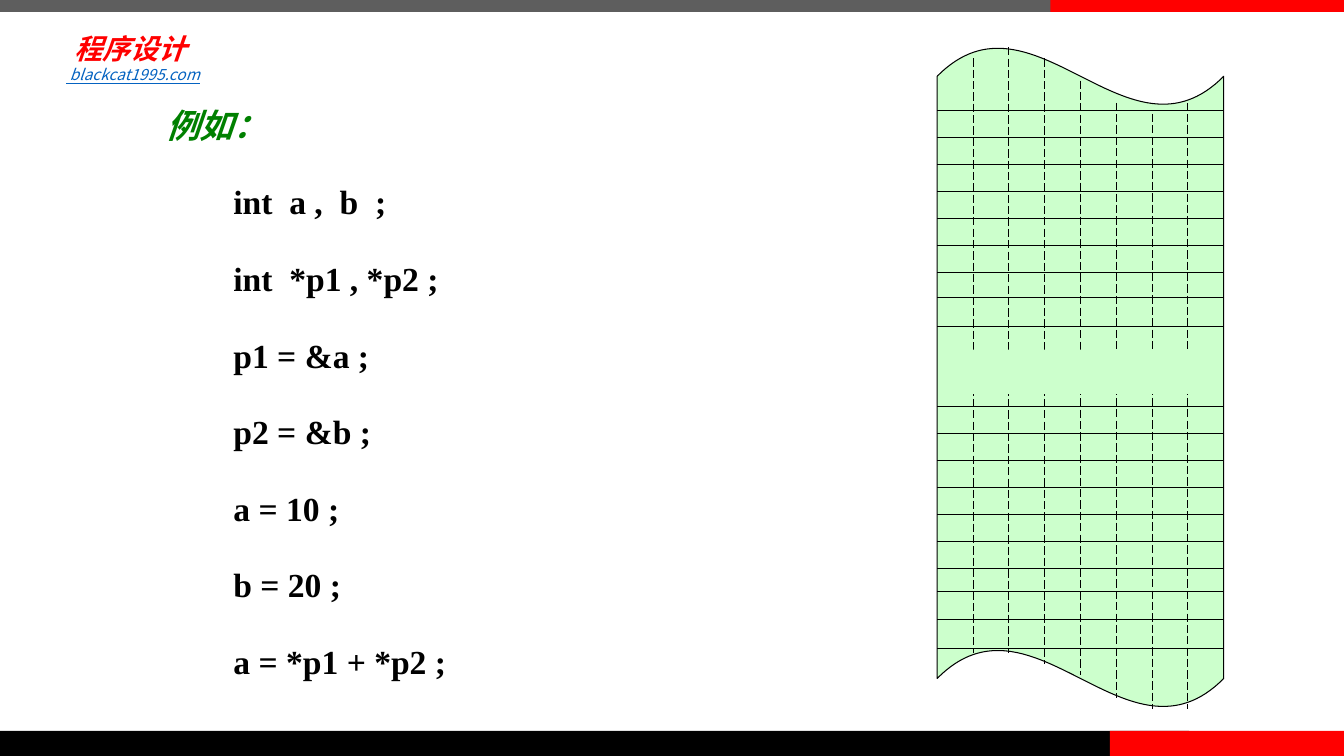
from lxml import etree
from pptx import Presentation
from pptx import util as u
from pptx.dml.color import RGBColor
from pptx.enum import dml, shapes, text
from pptx.oxml import ns

GREY = RGBColor(0x5E, 0x5E, 0x5E)
BLACK = RGBColor(0, 0, 0)
RED = RGBColor(0xFF, 0, 0)
GREEN = RGBColor(0, 0x80, 0)
BLUE = RGBColor(0x05, 0x63, 0xC1)
MINT = RGBColor(0xCC, 0xFF, 0xCC)

CODE = [
    "int  a ,  b  ;",
    "int  *p1 , *p2 ;",
    "p1 = &a ;",
    "p2 = &b ;",
    "a = 10 ;",
    "b = 20 ;",
    "a = *p1 + *p2 ;",
]


class Painter:
    """Draws styled elements on the current slide."""

    east_asian = "Noto Sans CJK SC"
    line_width = u.Pt(0.75)

    def __init__(self, page):
        self.page = page
        self.target = page.shapes

    def start_group(self):
        self.target = self.page.shapes.add_group_shape().shapes

    def end_group(self):
        self.target = self.page.shapes

    def outline(self, line):
        line.color.rgb = BLACK
        line.width = self.line_width

    def shape(self, kind, place, color, outlined=False):
        shape = self.target.add_shape(kind, *map(u.Cm, place))
        shape.shadow.inherit = False
        shape.fill.solid()
        shape.fill.fore_color.rgb = color
        if outlined:
            self.outline(shape.line)
        else:
            shape.line.fill.background()
        return shape

    def line(self, x1, y1, x2, y2, dash=None):
        line = self.target.add_connector(
            shapes.MSO_CONNECTOR.STRAIGHT, *map(u.Cm, (x1, y1, x2, y2)))
        etree.SubElement(line._element.spPr, ns.qn("a:effectLst"))
        self.outline(line.line)
        if dash:
            line.line.dash_style = dash

    def text(self, place, lines, frame_format, spacing=None):
        box = self.target.add_textbox(*map(u.Cm, place))
        frame = box.text_frame
        frame.auto_size = text.MSO_AUTO_SIZE.SHAPE_TO_FIT_TEXT
        for name, value in frame_format.items():
            setattr(frame, name, value)
        for number, (words, color, font_format) in enumerate(lines):
            para = frame.add_paragraph() if number else frame.paragraphs[0]
            para.line_spacing = spacing
            span = para.add_run()
            span.text = words
            for name, value in font_format.items():
                setattr(span.font, name, value)
            span.font.color.rgb = color
            etree.SubElement(span.font._element, ns.qn("a:ea"),
                             typeface=self.east_asian)


def draw_frame(painter):
    """Draw the coloured bars and the heading in the corner."""
    for place, color in [
        ((0, 0, 27.46, 0.3), GREY),
        ((0, 18.42, 29.97, 0.63), BLACK),
        ((27.97, 18.42, 5.9, 0.63), RED),
        ((26.47, 0, 7.4, 0.3), RED),
    ]:
        painter.shape(shapes.MSO_SHAPE.RECTANGLE, place, color)
    inset = u.Cm(0.15)
    painter.text(
        (1.73, 0.64, 3.25, 1.14),
        [("程序设计", RED, dict(size=u.Pt(20), name="Calibri", bold=True, italic=True))],
        dict(word_wrap=True, vertical_anchor=text.MSO_ANCHOR.MIDDLE,
             margin_left=inset, margin_right=inset,
             margin_top=inset, margin_bottom=inset))
    painter.text(
        (1.42, 1.52, 16.94, 0.74),
        [(" blackcat1995.com", BLUE,
          dict(size=u.Pt(11), name="Noto Sans CJK SC", italic=True, underline=True))],
        dict(word_wrap=True))


def draw_memory(painter):
    """Draw the strip of memory cells with its bit columns."""
    left, width, step = 23.62, 7.22, 0.68
    painter.start_group()
    strip = painter.shape(shapes.MSO_SHAPE.WAVE, (left, 1.19, width, 16.64), MINT, True)
    strip.adjustments[0] = 0.044
    strip.adjustments[1] = 0
    tops = [1.47, 1.19, 1.47, 2.03, 2.59, 2.87, 2.59]
    bottoms = [16.46, 16.46, 16.74, 17.02, 17.58, 17.86, 17.86]
    for column, (top, bottom) in enumerate(zip(tops, bottoms), 1):
        x = left + column * width / 8
        painter.line(x, top, x, bottom, dml.MSO_LINE.LONG_DASH)
    painter.shape(shapes.MSO_SHAPE.RECTANGLE, (24.36, 8.81, 5.92, 1.12), MINT)
    for first, extra in [(2.79, [7.49, 8.23]), (10.24, [14.91, 15.6, 16.33])]:
        for y in [first + row * step for row in range(7)] + extra:
            painter.line(left, y, left + width, y)
    painter.end_group()


def main():
    """Build the slide and save it."""
    deck = Presentation()
    deck.slide_width, deck.slide_height = u.Cm(33.87), u.Cm(19.05)
    painter = Painter(deck.slides.add_slide(deck.slide_layouts[6]))
    draw_frame(painter)
    draw_memory(painter)
    font = dict(size=u.Pt(24), name="Times New Roman", bold=True)
    lines = [("例如：", GREEN, dict(font, italic=True))]
    lines += [(" " * 8 + code, BLACK, font) for code in CODE]
    painter.text((3.94, 1.6, 7.65, 15.57), lines, dict(word_wrap=False), 1.9)
    deck.save("out.pptx")


if __name__ == "__main__":
    main()
